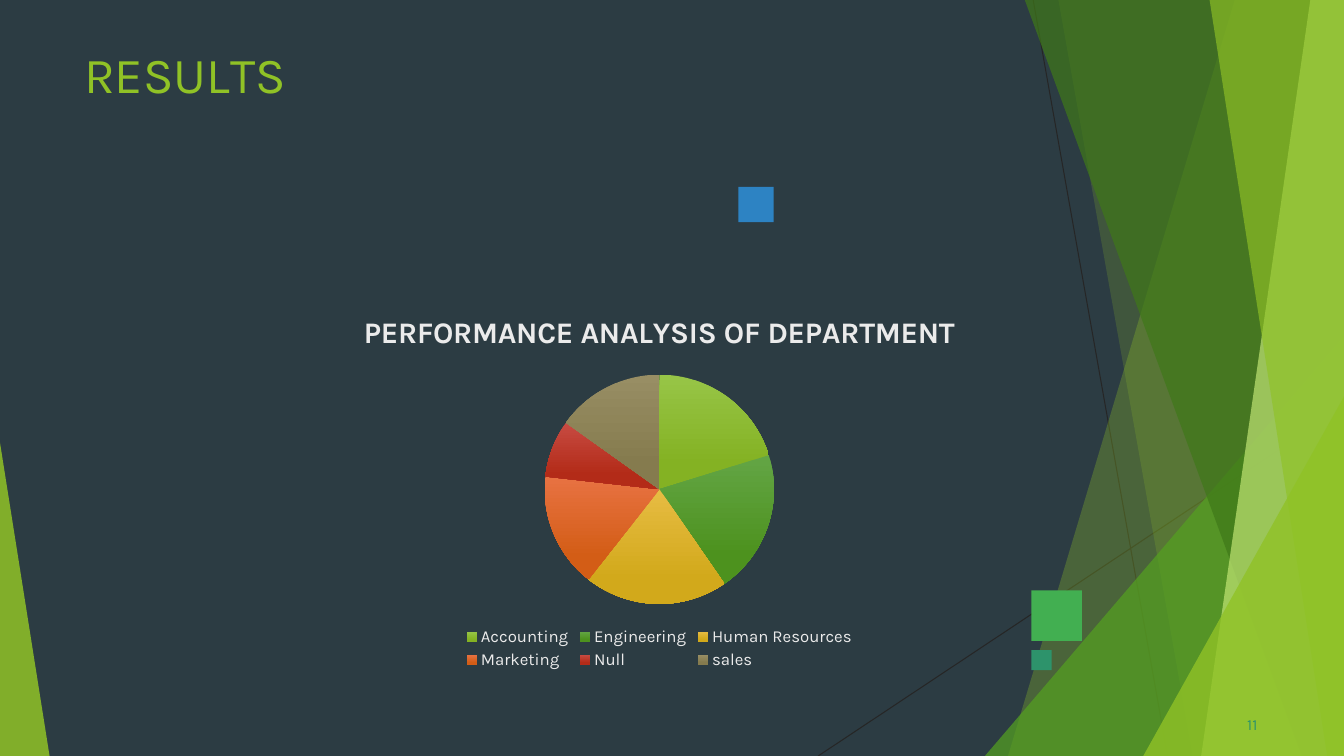
from lxml.etree import SubElement
from pptx import Presentation
from pptx.chart.data import CategoryChartData
from pptx.dml.color import RGBColor
from pptx.enum.chart import XL_CHART_TYPE, XL_LEGEND_POSITION
from pptx.enum.shapes import MSO_CONNECTOR, MSO_SHAPE
from pptx.enum.text import MSO_ANCHOR, PP_ALIGN
from pptx.oxml import parse_xml
from pptx.oxml.ns import nsdecls, qn
from pptx.util import Inches, Pt

CELL = Inches(1) // 12
COLS, ROWS = 160, 90
FONT = "Karla"
NIGHT = RGBColor(0x2C, 0x3C, 0x43)
INK = RGBColor(0x26, 0x26, 0x26)
LIME = RGBColor(0x90, 0xC2, 0x26)
LEAF = RGBColor(0x54, 0xA0, 0x21)
MOSS = RGBColor(0x3F, 0x78, 0x19)
PALE = RGBColor(0xC0, 0xE4, 0x74)
GREEN = RGBColor(0x42, 0xAF, 0x51)
BLUE = RGBColor(0x2D, 0x83, 0xC3)
TEAL = RGBColor(0x2D, 0x93, 0x6B)
MIST = RGBColor(0xEB, 0xEB, 0xEB)

HEAD = "PERFORMANCE ANALYSIS OF DEPARTMENT"
SHARES = [
    ("Accounting", 20, RGBColor(0x97, 0xC5, 0x47), RGBColor(0x84, 0xB2, 0x23)),
    ("Engineering", 20, RGBColor(0x63, 0xA5, 0x45), RGBColor(0x4D, 0x92, 0x1E)),
    ("Human Resources", 20, RGBColor(0xE7, 0xBC, 0x43), RGBColor(0xD2, 0xA9, 0x1B)),
    ("Marketing", 16, RGBColor(0xE8, 0x72, 0x42), RGBColor(0xD3, 0x5D, 0x16)),
    ("Null", 8, RGBColor(0xC7, 0x4B, 0x42), RGBColor(0xB3, 0x2B, 0x18)),
    ("sales", 15, RGBColor(0x98, 0x8E, 0x64), RGBColor(0x85, 0x7B, 0x4E)),
]


def grid(*units):
    return [round(unit * CELL) for unit in units]


def style(font, size, color, bold=False):
    font.name = FONT
    font.size = Pt(size)
    font.bold = bold
    font.color.rgb = color


def write(shape, parts, size, color, before=0):
    frame = shape.text_frame
    frame.word_wrap = True
    frame.vertical_anchor = MSO_ANCHOR.TOP
    frame.margin_left = frame.margin_right = frame.margin_bottom = 0
    frame.margin_top = Inches(0.01)
    para = frame.paragraphs[0]
    para.alignment = PP_ALIGN.LEFT
    para.space_before = Pt(before)
    for text, gap in parts:
        run = para.add_run()
        run.text = text
        style(run.font, size, color)
        run.font._element.set("spc", str(round(gap * 100)))


def paint(shape, color, alpha=100):
    shape.shadow.inherit = False
    shape.line.fill.background()
    shape.fill.solid()
    shape.fill.fore_color.rgb = color
    if alpha < 100:
        tint = shape._element.spPr.find(".//" + qn("a:srgbClr"))
        SubElement(tint, qn("a:alpha")).set("val", str(alpha * 1000))


def panel(slide, box, top, foot, color, alpha):
    x, y, w, h = box
    form = slide.shapes.build_freeform(x + top, y, scale=CELL)
    form.add_line_segments([(x + w, y), (x + w, y + h), (x + foot, y + h)])
    paint(form.convert_to_shape(), color, alpha)


def wedge(slide, box, width, height, right, color, alpha):
    x, y, w, h = box
    left = x + w - width if right else x
    place = grid(left, y + h - height, width, height)
    shape = slide.shapes.add_shape(MSO_SHAPE.ISOSCELES_TRIANGLE, *place)
    shape.adjustments[0] = 1 if right else 0
    paint(shape, color, alpha)


def thread(slide, box, *ends):
    x, y = box[:2]
    points = grid(x + ends[0], y + ends[1], x + ends[2], y + ends[3])
    line = slide.shapes.add_connector(MSO_CONNECTOR.STRAIGHT, *points)
    line.line.color.rgb = INK
    line.line.width = Pt(0.75)
    SubElement(line._element.spPr, qn("a:effectLst"))


def decor(slide, box):
    w, h = box[2:]
    thread(slide, box, 123, 0, 139, h)
    thread(slide, box, w, 48.4, 97.4, h)
    panel(slide, box, 147.4, 120.5, LIME, 30)
    panel(slide, box, 126, 142, LIME, 20)
    wedge(slide, box, 42.75, 50, True, LEAF, 72)
    panel(slide, box, 122.5, 154.9, MOSS, 70)
    panel(slide, box, 156.4, 143, PALE, 70)
    panel(slide, box, 143.5, 158.2, LIME, 65)
    wedge(slide, box, 23.9, 42.8, True, LIME, 80)
    wedge(slide, box, 5.9, 37.3, False, LIME, 85)


def tiles(slide, box):
    x, y = box[:2]
    for left, top, side, color in [
        (122.8, 70.3, 6, GREEN),
        (87.9, 22.25, 4.2, BLUE),
        (122.8, 77.4, 2.4, TEAL),
    ]:
        place = grid(x + left, y + top, side, side)
        paint(slide.shapes.add_shape(MSO_SHAPE.RECTANGLE, *place), color)


def title(slide, box):
    shape = slide.shapes.title
    shape.left, shape.top, shape.width, shape.height = grid(*box)
    parts = [("R", 0), ("E", -0.4), ("S", 0.1), ("U", -0.3), ("L", -4), ("TS", 0)]
    write(shape, parts, 36, LIME, before=1.1)


def number(slide, box):
    shape = slide.shapes.add_textbox(*grid(*box))
    write(shape, [("11", 0.1)], 11, TEAL, before=0.6)
    shape.text_frame.margin_left = Inches(0.04)


def arrange(part, before, inner, **shares):
    old = part.find(qn("c:layout"))
    if old is not None:
        part.remove(old)
    target = '<c:layoutTarget val="inner"/>' if inner else ""
    modes = "".join(f'<c:{key}Mode val="edge"/>' for key in "xy")
    sizes = "".join(f'<c:{key} val="{val}"/>' for key, val in shares.items())
    layout = parse_xml(
        f"<c:layout {nsdecls('c')}><c:manualLayout>{target}{modes}{sizes}"
        "</c:manualLayout></c:layout>"
    )
    part.find(qn(before)).addprevious(layout)


def pie(slide, box):
    data = CategoryChartData()
    data.categories = [share[0] for share in SHARES]
    data.add_series(HEAD, [share[1] for share in SHARES])
    frame = slide.shapes.add_chart(XL_CHART_TYPE.PIE, *grid(*box), data)
    chart = frame.chart
    style(chart.font, 10, MIST)
    chart.has_title = True
    label = chart.chart_title.text_frame
    label.text = HEAD
    style(label.paragraphs[0].runs[0].font, 21.3, MIST, bold=True)
    chart.has_legend = True
    chart.legend.position = XL_LEGEND_POSITION.BOTTOM
    chart.legend.include_in_layout = False
    style(chart.legend.font, 12, MIST)
    plot = chart.plots[0]
    plot.vary_by_categories = True
    for index, share in enumerate(SHARES):
        look = plot.series[0].points[index].format
        look.line.fill.background()
        look.fill.gradient()
        look.fill.gradient_angle = 270
        for stop, spot, color in zip(look.fill.gradient_stops, (0, 0.78), share[2:]):
            stop.position = spot
            stop.color.rgb = color
    area = chart._chartSpace.chart.plotArea
    arrange(area, "c:pieChart", True, x=0.35, y=0.21, w=0.3, h=0.6)
    arrange(chart.legend._element, "c:overlay", False, x=0.24, y=0.86, w=0.52, h=0.13)


def main():
    deck = Presentation()
    deck.slide_width, deck.slide_height = grid(COLS, ROWS)
    slide = deck.slides.add_slide(deck.slide_layouts[5])
    slide.background.fill.solid()
    slide.background.fill.fore_color.rgb = NIGHT
    whole = (0, 0, COLS, ROWS)
    decor(slide, whole)
    tiles(slide, whole)
    title(slide, (10, 5, 32, 10))
    number(slide, (148, 85, 3, 2.5))
    pie(slide, (33, 35, 91, 45.6))
    deck.save("out.pptx")


if __name__ == "__main__":
    main()
